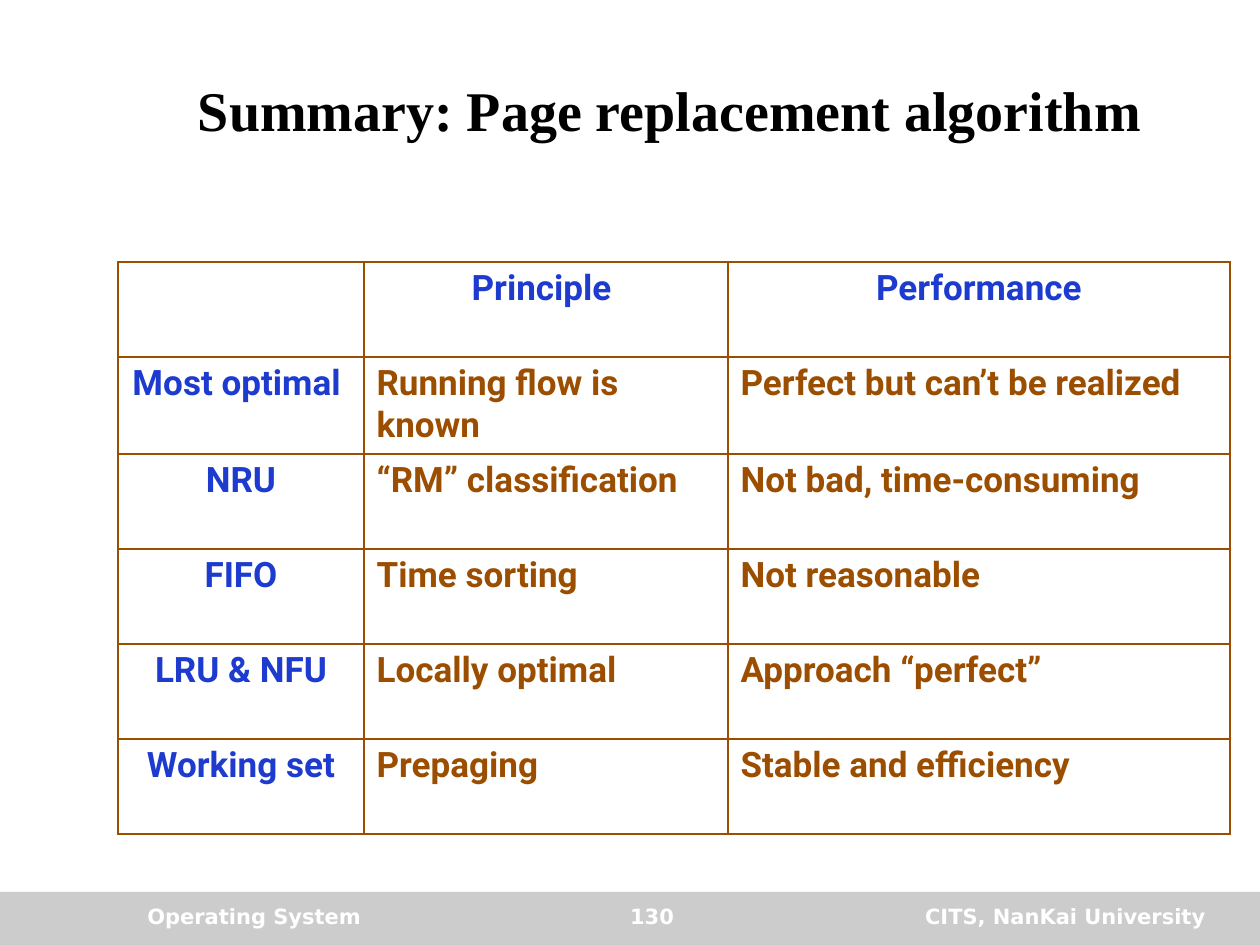
from lxml.etree import SubElement
from pptx import Presentation
from pptx.dml.color import RGBColor
from pptx.enum.shapes import MSO_SHAPE as Shape
from pptx.enum.text import MSO_ANCHOR as Anchor, PP_ALIGN as Align
from pptx.oxml.ns import qn
from pptx.util import Pt

EMU_PER_PX = 914400 / 126
COLORS = {
    "title": "000000",
    "heading": "1D3BCE",
    "body": "9C4E00",
    "border": "9C4E00",
    "band": "CCCCCC",
    "footer": "FFFFFF",
}
ROWS = [
    ("", "Principle ", "Performance"),
    ("Most optimal ", "Running flow is known", "Perfect but can’t be realized"),
    ("NRU", "“RM” classification", "Not bad, time-consuming"),
    ("FIFO", "Time sorting", "Not reasonable"),
    ("LRU & NFU", "Locally optimal", "Approach “perfect”"),
    ("Working set", "Prepaging", "Stable and efficiency"),
]


def px(length):
    return round(length * EMU_PER_PX)


def color(name):
    return RGBColor.from_string(COLORS[name])


def write(frame, text, *, font, size, ink, align=Align.LEFT, anchor=Anchor.TOP):
    frame.word_wrap = True
    frame.vertical_anchor = anchor
    para = frame.paragraphs[0]
    para.alignment = align
    span = para.add_run()
    span.text = text
    span.font.name = font
    span.font.size = Pt(size)
    span.font.bold = True
    span.font.color.rgb = color(ink)


def add_text(page, box, text, **style):
    frame = page.shapes.add_textbox(*map(px, box)).text_frame
    write(frame, text, **style)


def add_borders(cell):
    properties = cell._tc.get_or_add_tcPr()
    for side in ("a:lnL", "a:lnR", "a:lnT", "a:lnB"):
        line = SubElement(properties, qn(side), w=str(Pt(1.5)))
        fill = SubElement(line, qn("a:solidFill"))
        SubElement(fill, qn("a:srgbClr"), val=COLORS["border"])


def add_footer(page, box):
    left, top, width, height = box
    band = page.shapes.add_shape(Shape.RECTANGLE, *map(px, box))
    band.shadow.inherit = False
    band.fill.solid()
    band.fill.fore_color.rgb = color("band")
    band.line.fill.background()

    labels = [
        (135, 346, "Operating System", Align.LEFT),
        (505, 294, "130", Align.CENTER),
        (819, 399, "CITS, NanKai University", Align.RIGHT),
    ]
    for offset, label_width, text, align in labels:
        add_text(page, (left + offset, top + 5, label_width, 42), text,
                 font="DejaVu Sans", size=12, ink="footer", align=align)


def add_summary(page, box, column_widths):
    frame = page.shapes.add_table(len(ROWS), len(column_widths), *map(px, box))
    table = frame.table
    table.first_row = table.horz_banding = False
    for column, width in zip(table.columns, column_widths):
        column.width = px(width)

    for row_index, texts in enumerate(ROWS):
        table.rows[row_index].height = px(box[3] / len(ROWS))
        for column_index, text in enumerate(texts):
            cell = table.cell(row_index, column_index)
            add_borders(cell)
            cell.fill.background()
            if text:
                heading = row_index == 0 or column_index == 0
                write(cell.text_frame, text, font="Roboto", size=20,
                      ink="heading" if heading else "body",
                      align=Align.CENTER if heading else Align.LEFT)


def main():
    deck = Presentation()
    deck.slide_width, deck.slide_height = px(1260), px(945)
    page = deck.slides.add_slide(deck.slide_layouts[6])

    # Footer band with its labels
    add_footer(page, (0, 892, 1260, 53))
    # Title
    add_text(page, (134, 42, 1072, 135), "Summary: Page replacement algorithm",
             font="Times New Roman", size=32, ink="title",
             align=Align.CENTER, anchor=Anchor.MIDDLE)
    # Comparison of the algorithms
    add_summary(page, (118, 262, 1112, 570), (246, 364, 502))

    deck.save("out.pptx")


if __name__ == "__main__":
    main()
